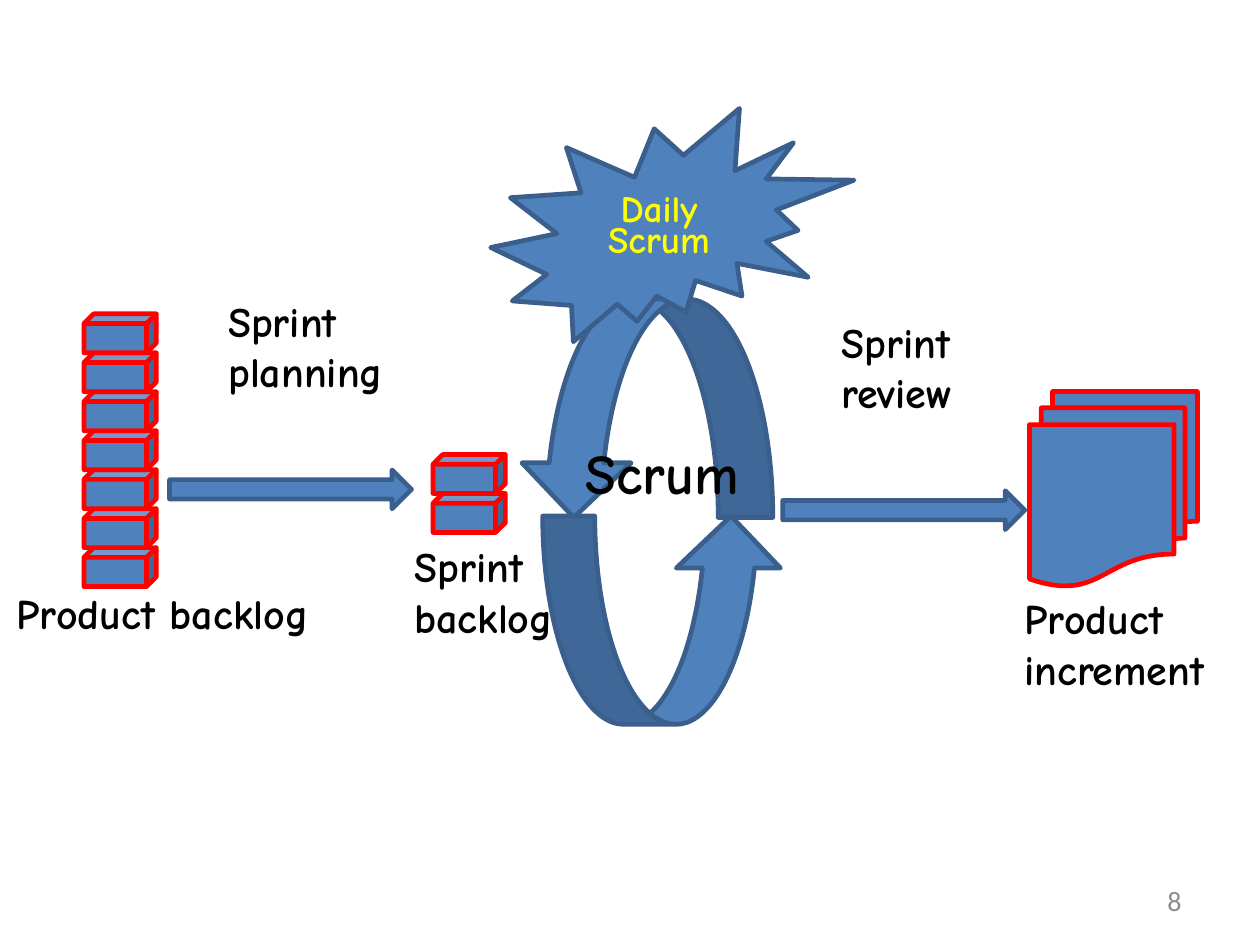
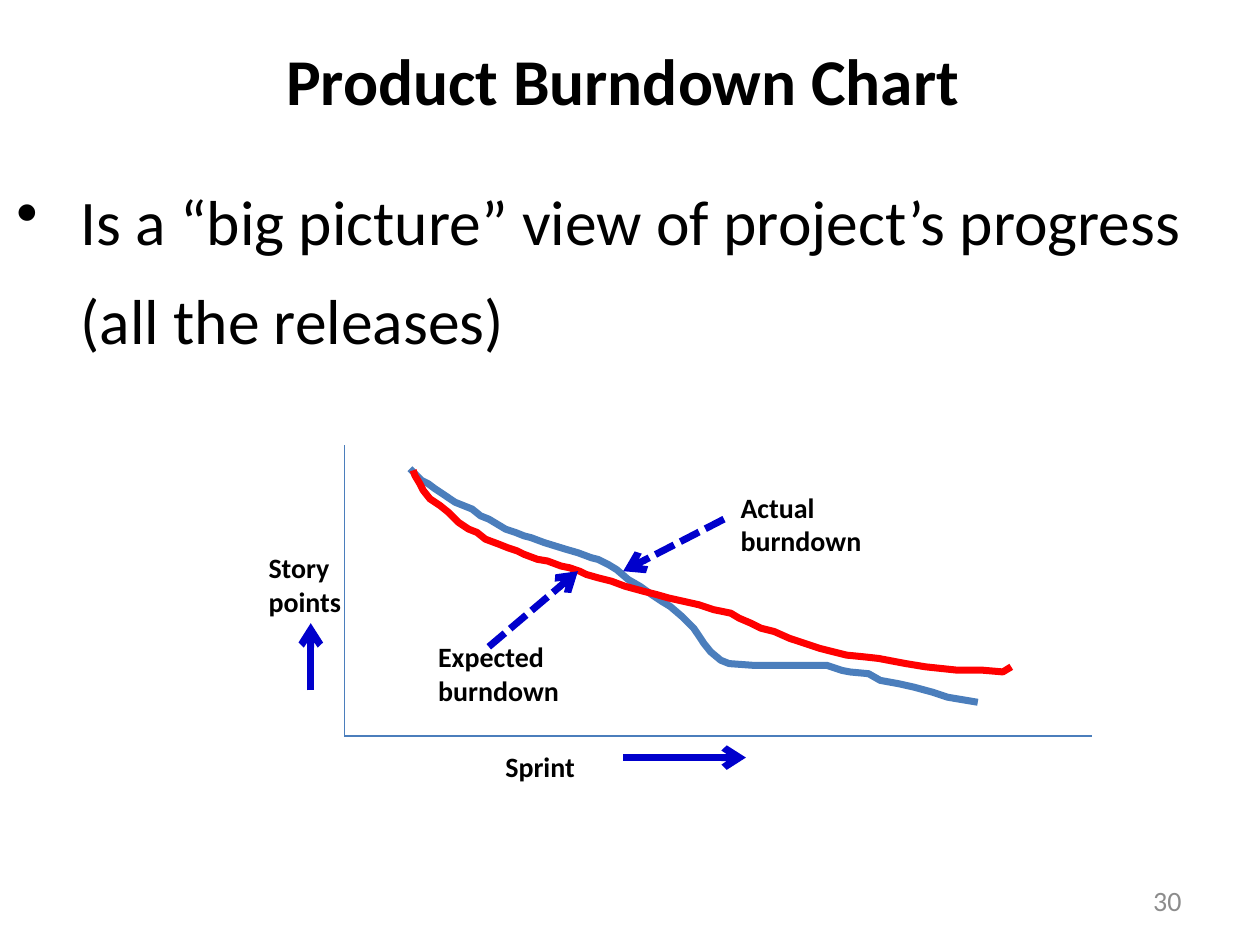
from pptx import Presentation
from pptx.dml.color import RGBColor
from pptx.enum.dml import MSO_LINE
from pptx.enum.shapes import MSO_CONNECTOR, MSO_SHAPE
from pptx.enum.text import MSO_ANCHOR, PP_ALIGN
from pptx.oxml.ns import qn
from pptx.util import Pt

STRAIGHT = MSO_CONNECTOR.STRAIGHT
CUBE = MSO_SHAPE.CUBE
ARROW = MSO_SHAPE.RIGHT_ARROW
DOWN = MSO_SHAPE.CURVED_DOWN_ARROW
UP = MSO_SHAPE.CURVED_UP_ARROW
PAGES = MSO_SHAPE.FLOWCHART_MULTIDOCUMENT
BURST = MSO_SHAPE.EXPLOSION2
DASH = MSO_LINE.SQUARE_DOT
LEFT, CENTER, RIGHT = PP_ALIGN.LEFT, PP_ALIGN.CENTER, PP_ALIGN.RIGHT
TOP, MIDDLE = MSO_ANCHOR.TOP, MSO_ANCHOR.MIDDLE

SANS, COMIC = "Calibri", "Comic Neue"
BLACK, GREY, YELLOW = "000000", "8C8C8C", "FFFF00"
BLUE, EDGE, CURVE = "4F81BD", "3A5F8C", "4B7EBC"
RED, NAVY = "FF0000", "0000CC"

HUNDREDTH = Pt(0.72)
ACTUAL = [
    (244, 279), (247, 282), (251, 286), (255, 288), (259, 291), (265, 295),
    (271, 299), (276, 301), (281, 303), (286, 307), (291, 309), (296, 312),
    (301, 315), (307, 317), (312, 319), (316, 320), (324, 323), (337, 327),
    (344, 329), (352, 332), (356, 333), (362, 336), (367, 339), (374, 345),
    (381, 349), (388, 354), (394, 358), (399, 361), (406, 367), (413, 374),
    (417, 380), (419, 383), (423, 388), (429, 393), (434, 395), (448, 396),
    (492, 396), (501, 399), (506, 400), (517, 401), (524, 405), (535, 407),
    (544, 409), (555, 412), (564, 415), (570, 416), (582, 418),
]
PLAN = [
    (246, 280), (247, 283), (250, 288), (252, 292), (256, 297), (262, 301),
    (267, 305), (273, 311), (279, 315), (284, 317), (289, 321), (297, 324),
    (302, 326), (308, 328), (312, 330), (320, 333), (326, 334), (334, 337),
    (339, 338), (345, 340), (349, 342), (356, 344), (364, 346), (372, 349),
    (383, 352), (391, 354), (398, 356), (407, 358), (416, 360), (425, 363),
    (435, 365), (440, 368), (447, 371), (453, 374), (461, 376), (470, 380),
    (476, 382), (482, 384), (488, 386), (496, 388), (504, 390), (514, 391),
    (523, 392), (539, 395), (551, 397), (570, 399), (585, 399), (597, 400),
    (602, 397),
]


def rgb(tint):
    return RGBColor.from_string(tint)


def style(para, size, tint=BLACK, name=SANS, bold=False, align=LEFT):
    font = para.font
    font.size, font.name, font.bold = Pt(size), name, bold
    font.color.rgb = rgb(tint)
    para.alignment = align


def label(slide, box, words, size, anchor=TOP, wrap=True, **look):
    frame = slide.shapes.add_textbox(*map(Pt, box)).text_frame
    frame.word_wrap = wrap
    frame.vertical_anchor = anchor
    frame.text = words
    for para in frame.paragraphs:
        style(para, size, **look)
    return frame.paragraphs[0]


def note(slide, x, y, words, size=18):
    label(slide, (x, y, 186.5, 51), words, size, name=COMIC, bold=True)


def tag(slide, box, words, wrap=False):
    label(slide, box, words, 12, wrap=wrap, bold=True)


def block(slide, kind, box, edge=EDGE):
    shape = slide.shapes.add_shape(kind, *map(Pt, box))
    shape.shadow.inherit = False
    shape.fill.solid()
    shape.fill.fore_color.rgb = rgb(BLUE)
    shape.line.color.rgb = rgb(edge)
    shape.line.width = Pt(2)
    return shape


def stack(slide, x, base, count):
    for i in range(count):
        block(slide, CUBE, (x, base - 16.7 * i, 31, 16.7), RED)


def line(slide, start, end, tint, width):
    link = slide.shapes.add_connector(STRAIGHT, *map(Pt, start + end))
    link.line.color.rgb = rgb(tint)
    link.line.width = Pt(width)
    props = link._element.spPr
    props.append(props.makeelement(qn("a:effectLst"), {}))
    return link


def pointer(slide, start, end, dash=None):
    link = line(slide, start, end, NAVY, 3)
    if dash:
        link.line.dash_style = dash
    edge = link.line._get_or_add_ln()
    edge.append(edge.makeelement(qn("a:tailEnd"), {"type": "arrow"}))


def curve(slide, points, tint):
    pen = slide.shapes.build_freeform(*points[0], scale=HUNDREDTH)
    pen.add_line_segments(points[1:], close=False)
    shape = pen.convert_to_shape()
    shape.shadow.inherit = False
    shape.fill.background()
    shape.line.color.rgb = rgb(tint)
    shape.line.width = Pt(3)


def bullet(para, indent):
    props = para._p.get_or_add_pPr()
    props.set("marL", str(Pt(indent)))
    props.set("indent", str(-Pt(indent)))
    mark = props.makeelement(qn("a:buChar"), {"char": "•"})
    props.insert_element_before(mark, "a:tabLst", "a:defRPr", "a:extLst")


def page(deck, number):
    slide = deck.slides.add_slide(deck.slide_layouts[6])
    label(slide, (387.4, 375, 126, 21.6), number, 12, MIDDLE,
          tint=GREY, align=RIGHT)
    return slide


def scrum(deck):
    slide = page(deck, "8")
    note(slide, 432, 250.5, "Product\nincrement")
    stack(slide, 36, 234.7, 7)
    note(slide, 0, 248.4, "Product backlog")
    stack(slide, 185.6, 211.5, 2)
    note(slide, 170.6, 228.2, "Sprint\nbacklog")
    block(slide, ARROW, (72.7, 201.4, 103.7, 16.7))
    loop = block(slide, DOWN, (222.5, 128.2, 108.7, 93.6))
    loop.rotation = 180
    loop._element.spPr.xfrm.set("flipV", "1")
    block(slide, UP, (232.6, 221.2, 103, 89.3))
    block(slide, PAGES, (441.2, 167.8, 72, 83.5), RED)
    note(slide, 244, 184.3, "Scrum", 24)
    burst = block(slide, BURST, (210.3, 46.5, 155.7, 100))
    frame = burst.text_frame
    frame.word_wrap = True
    frame.vertical_anchor = MIDDLE
    frame.text = "Daily Scrum"
    para = frame.paragraphs[0]
    style(para, 16, YELLOW, COMIC, True, CENTER)
    para.line_spacing = 0.7
    note(slide, 90.7, 123.1, "Sprint\nplanning")
    block(slide, ARROW, (335.5, 210.3, 103.7, 16.7))
    note(slide, 353.5, 132.1, "Sprint\nreview")


def burndown(deck):
    slide = page(deck, "30")
    label(slide, (23.8, 0, 486, 67.7), "Product Burndown Chart", 28, MIDDLE,
          bold=True, align=CENTER)
    para = label(
        slide, (0, 64.8, 540, 293),
        "Is a “big picture” view of project’s progress (all the releases)",
        27.2)
    para.line_spacing = 1.3
    para.space_before, para.space_after = Pt(6), Pt(12)
    bullet(para, 27.4)
    corner = (147.6, 315.4)
    line(slide, (147.6, 190.8), corner, CURVE, 0.75)
    line(slide, corner, (468, 315.4), CURVE, 0.75)
    curve(slide, ACTUAL, CURVE)
    curve(slide, PLAN, RED)
    tag(slide, (209.5, 317.5, 44.6, 21.6), "Sprint")
    pointer(slide, (267.1, 324.7), (319.7, 324.7))
    tag(slide, (108, 232.6, 46, 36), "Story\npoints")
    pointer(slide, (133.2, 295.9), (133.2, 267.1))
    pointer(slide, (209.5, 277.2), (247.7, 244.8), DASH)
    tag(slide, (180.7, 270.7, 67, 36), "Expected\nburndown")
    pointer(slide, (310.3, 222.5), (267.1, 244.8), DASH)
    tag(slide, (310.3, 206.6, 81.4, 36), "Actual\nburndown", True)


def main():
    deck = Presentation()
    deck.slide_width, deck.slide_height = Pt(540), Pt(405)
    scrum(deck)
    burndown(deck)
    deck.save("out.pptx")


if __name__ == "__main__":
    main()
